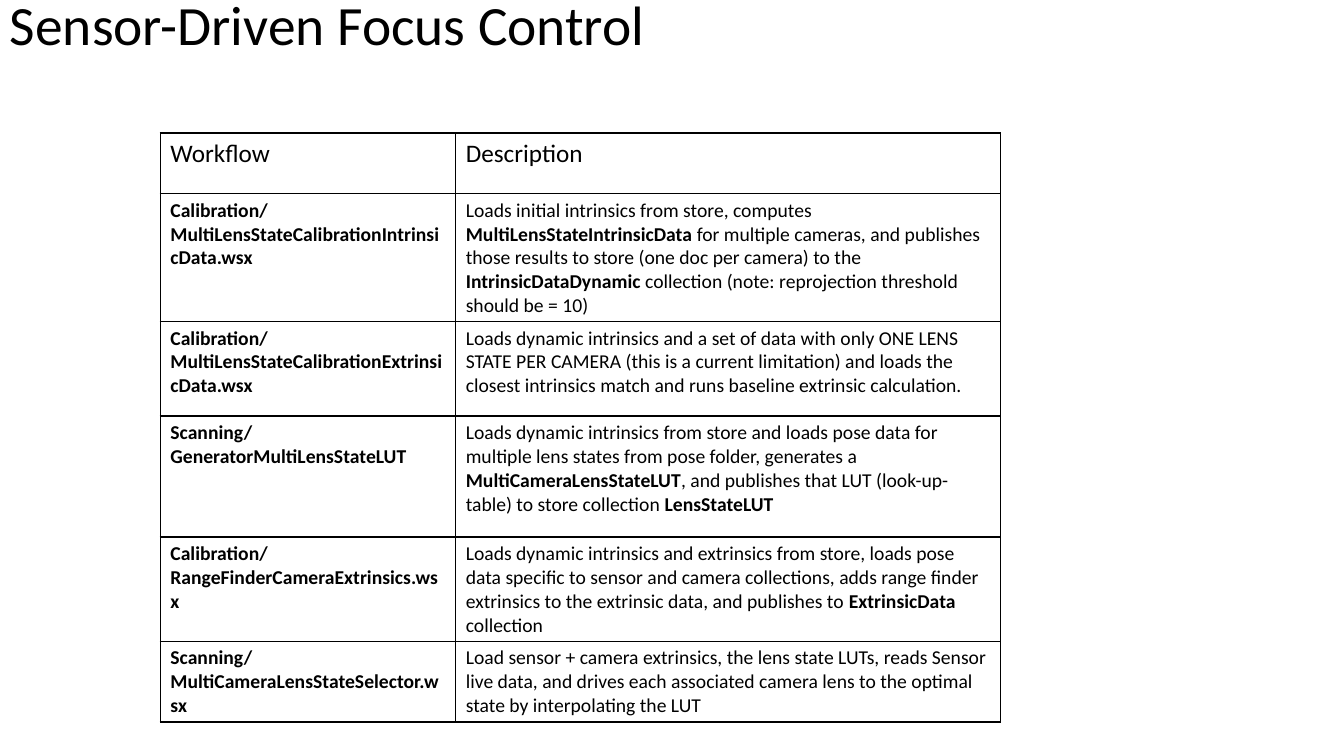
from lxml import etree
from pptx import Presentation
from pptx import util as u
from pptx.dml.color import RGBColor
from pptx.enum import text
from pptx.oxml import ns

BLACK = "000000"
FONT = "Calibri"
COLUMN_WIDTHS = [2.93, 5.4]
ROW_HEIGHTS = [0.6, 1.2, 0.94, 1.2, 0.94, 0.41]

# Double asterisks enclose bold words
ROWS = [
    ("Workflow", "Description"),
    ("**Calibration/ MultiLensStateCalibrationIntrinsicData.wsx**",
     "Loads initial intrinsics from store, computes **MultiLensStateIntrinsicData** for "
     "multiple cameras, and publishes those results to store (one doc per camera) to the "
     "**IntrinsicDataDynamic** collection (note: reprojection threshold should be = 10)"),
    ("**Calibration/ MultiLensStateCalibrationExtrinsicData.wsx**",
     "Loads dynamic intrinsics and a set of data with only ONE LENS STATE PER CAMERA "
     "(this is a current limitation) and loads the closest intrinsics match and runs "
     "baseline extrinsic calculation."),
    ("**Scanning/ GeneratorMultiLensStateLUT**",
     "Loads dynamic intrinsics from store and loads pose data for multiple lens states "
     "from pose folder, generates a **MultiCameraLensStateLUT**, and publishes that LUT "
     "(look-up-table) to store collection **LensStateLUT**"),
    ("**Calibration/ RangeFinderCameraExtrinsics.wsx**",
     "Loads dynamic intrinsics and extrinsics from store, loads pose data specific to "
     "sensor and camera collections, adds range finder extrinsics to the extrinsic data, "
     "and publishes to **ExtrinsicData** collection"),
    ("**Scanning/ MultiCameraLensStateSelector.wsx**",
     "Load sensor + camera extrinsics, the lens state LUTs, reads Sensor live data, and "
     "drives each associated camera lens to the optimal state by interpolating the LUT"),
]


def color(value):
    return RGBColor.from_string(value)


def write(para, marked, size):
    """Fill a paragraph, making every part between asterisks bold."""
    for index, part in enumerate(marked.split("**")):
        if part:
            span = para.add_run()
            span.text = part
            span.font.name = FONT
            span.font.size = u.Pt(size)
            span.font.bold = index % 2 == 1
            span.font.color.rgb = color(BLACK)


def add_title(page, title):
    box = page.shapes.add_textbox(u.Inches(0), u.Inches(0), u.Inches(11.5), u.Inches(0.54))
    frame = box.text_frame
    frame.word_wrap = True
    frame.vertical_anchor = text.MSO_ANCHOR.MIDDLE
    para = frame.paragraphs[0]
    para.line_spacing = 0.9
    write(para, title, 39.6)


def add_borders(cell):
    properties = cell._tc.get_or_add_tcPr()
    for position, side in enumerate(("lnL", "lnR", "lnT", "lnB")):
        line = etree.Element(ns.qn(f"a:{side}"), w=str(u.Pt(1)))
        fill = etree.SubElement(line, ns.qn("a:solidFill"))
        etree.SubElement(fill, ns.qn("a:srgbClr"), val=BLACK)
        properties.insert(position, line)


def add_workflow_table(page):
    frame = page.shapes.add_table(
        len(ROWS), len(COLUMN_WIDTHS), u.Inches(1.59), u.Inches(1.32),
        u.Inches(sum(COLUMN_WIDTHS)), u.Inches(sum(ROW_HEIGHTS)))
    table = frame.table
    table.first_row = table.horz_banding = False
    for column, width in zip(table.columns, COLUMN_WIDTHS):
        column.width = u.Inches(width)
    for row, height, entries in zip(table.rows, ROW_HEIGHTS, ROWS):
        row.height = u.Inches(height)
        size = 18 if entries is ROWS[0] else 14
        for cell, entry in zip(row.cells, entries):
            cell.fill.background()
            add_borders(cell)
            write(cell.text_frame.paragraphs[0], entry, size)


def main():
    deck = Presentation()
    deck.slide_width, deck.slide_height = u.Inches(13.33), u.Inches(7.5)
    page = deck.slides.add_slide(deck.slide_layouts[6])
    add_title(page, "Sensor-Driven Focus Control")
    add_workflow_table(page)
    deck.save("out.pptx")


if __name__ == "__main__":
    main()
